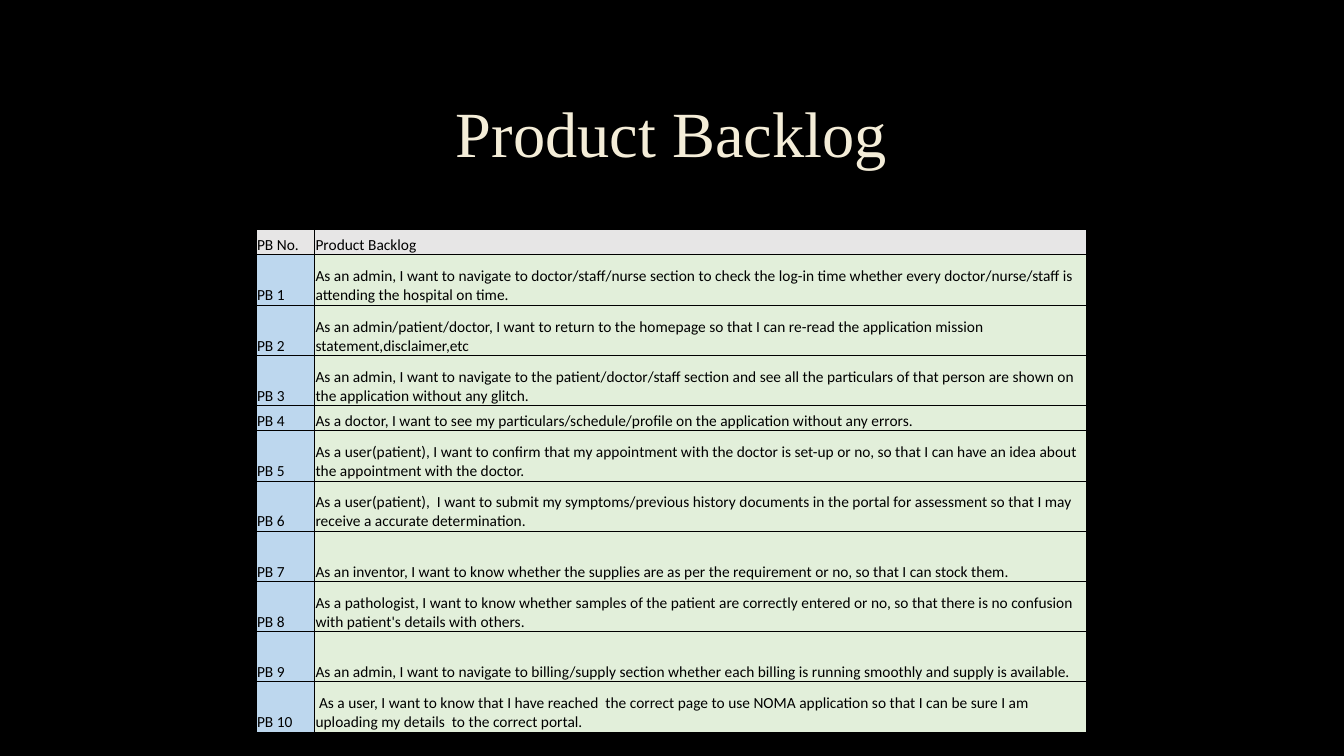
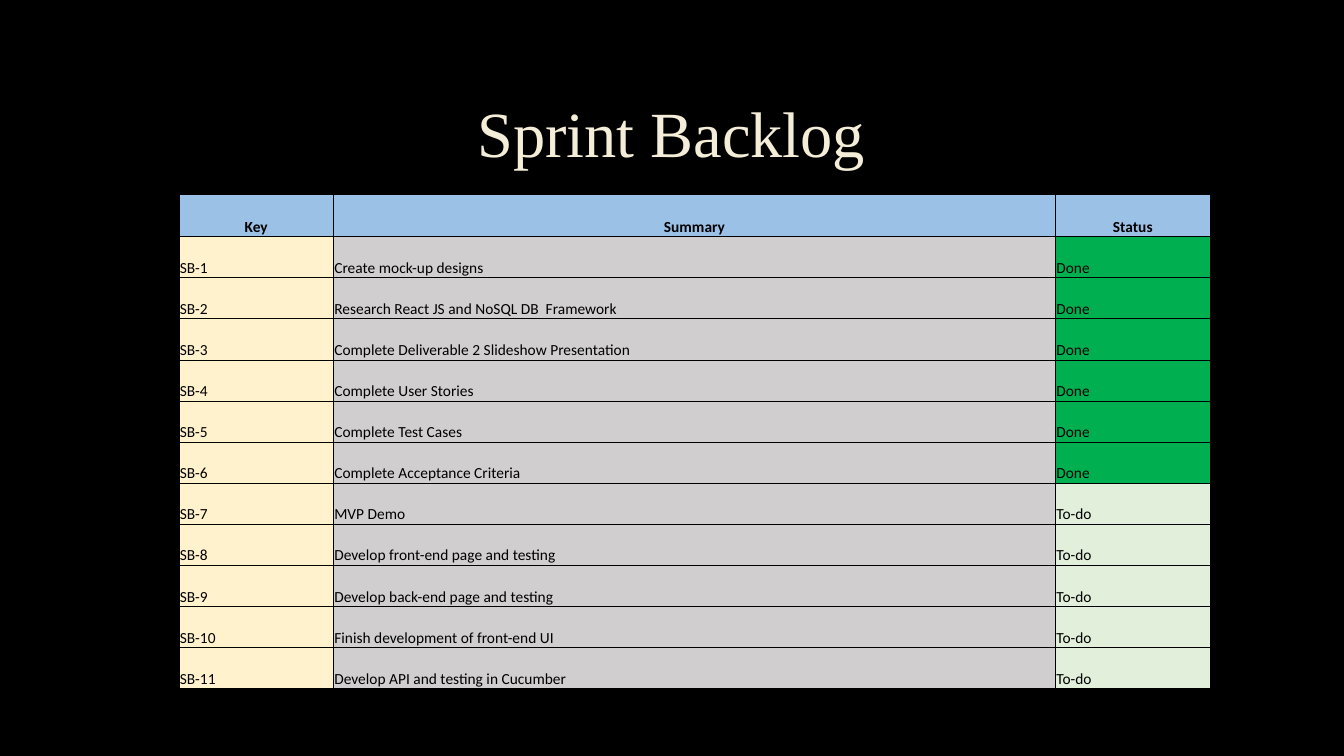
from lxml import etree
from pptx import Presentation
from pptx.dml.color import RGBColor
from pptx.enum import text as t
from pptx.oxml import ns
from pptx.util import Pt

BLACK = RGBColor(0x00, 0x00, 0x00)
CREAM = RGBColor(0xF4, 0xED, 0xD8)
GREY = RGBColor(0xE7, 0xE6, 0xE6)
LIGHT_BLUE = RGBColor(0xBD, 0xD7, 0xEE)
PALE_GREEN = RGBColor(0xE2, 0xEF, 0xDA)
BLUE = RGBColor(0x9B, 0xC2, 0xE6)
YELLOW = RGBColor(0xFF, 0xF2, 0xCC)
SILVER = RGBColor(0xD0, 0xCE, 0xCE)
GREEN = RGBColor(0x00, 0xB0, 0x50)

STATUS_FILLS = {"Done": GREEN, "To-do": PALE_GREEN}
LEFT, CENTER = t.PP_ALIGN.LEFT, t.PP_ALIGN.CENTER


def write(frame, words, font="Calibri", size=11, color=BLACK, bold=False,
          align=LEFT, spacing=1.0):
    frame.word_wrap = True
    paragraph = frame.paragraphs[0]
    paragraph.alignment = align
    paragraph.line_spacing = spacing
    run = paragraph.add_run()
    run.text = words
    run.font.name = font
    run.font.size = Pt(size)
    run.font.bold = bold
    run.font.color.rgb = color


def add_border(cell, side, width):
    line = etree.SubElement(cell._tc.get_or_add_tcPr(), ns.qn(f"a:ln{side}"), w=str(Pt(width)))
    fill = etree.SubElement(line, ns.qn("a:solidFill"))
    etree.SubElement(fill, ns.qn("a:srgbClr"), val=str(BLACK))


stories = [
    "As an admin, I want to navigate to doctor/staff/nurse section to check the log-in time whether every doctor/nurse/staff is attending the hospital on time.",
    "As an admin/patient/doctor, I want to return to the homepage so that I can re-read the application mission statement,disclaimer,etc",
    "As an admin, I want to navigate to the patient/doctor/staff section and see all the particulars of that person are shown on the application without any glitch.",
    "As a doctor, I want to see my particulars/schedule/profile on the application without any errors.",
    "As a user(patient), I want to confirm that my appointment with the doctor is set-up or no, so that I can have an idea about the appointment with the doctor.",
    "As a user(patient),  I want to submit my symptoms/previous history documents in the portal for assessment so that I may receive a accurate determination.",
    "As an inventor, I want to know whether the supplies are as per the requirement or no, so that I can stock them.",
    "As a pathologist, I want to know whether samples of the patient are correctly entered or no, so that there is no confusion with patient's details with others.",
    "As an admin, I want to navigate to billing/supply section whether each billing is running smoothly and supply is available.",
    " As a user, I want to know that I have reached  the correct page to use NOMA application so that I can be sure I am uploading my details  to the correct portal.",
]
tasks = [
    ("Create mock-up designs", "Done"),
    ("Research React JS and NoSQL DB  Framework", "Done"),
    ("Complete Deliverable 2 Slideshow Presentation", "Done"),
    ("Complete User Stories", "Done"),
    ("Complete Test Cases", "Done"),
    ("Complete Acceptance Criteria", "Done"),
    ("MVP Demo", "To-do"),
    ("Develop front-end page and testing", "To-do"),
    ("Develop back-end page and testing", "To-do"),
    ("Finish development of front-end UI", "To-do"),
    ("Develop API and testing in Cucumber", "To-do"),
]

backlogs = [
    {
        "title": "Product Backlog",
        "left": 183, "top": 164,
        "widths": [41.8, 551.4],
        "heights": [17.95] + [17.95 if number == 4 else 35.9
                              for number in range(1, len(stories) + 1)],
        "rows": [("PB No.", "Product Backlog")]
                + [(f"PB {number}", story) for number, story in enumerate(stories, 1)],
        "header": GREY, "fills": [LIGHT_BLUE, PALE_GREEN],
        "header_bold": False, "header_align": LEFT, "header_rule": 0.5,
    },
    {
        "title": "Sprint Backlog",
        "left": 127.8, "top": 139,
        "widths": [110.4, 515.8, 110.4],
        "heights": [30] + [29.36] * len(tasks),
        "rows": [("Key", "Summary", "Status")]
                + [(f"SB-{number}", *task) for number, task in enumerate(tasks, 1)],
        "header": BLUE, "fills": [YELLOW, SILVER, PALE_GREEN],
        "header_bold": True, "header_align": CENTER, "header_rule": 1,
    },
]

deck = Presentation()
deck.slide_width, deck.slide_height = Pt(960), Pt(540)

for backlog in backlogs:
    slide = deck.slides.add_slide(deck.slide_layouts[6])
    slide.background.fill.solid()
    slide.background.fill.fore_color.rgb = BLACK

    title = slide.shapes.add_textbox(Pt(72), Pt(48), Pt(815), Pt(99.4)).text_frame
    title.vertical_anchor = t.MSO_ANCHOR.MIDDLE
    write(title, backlog["title"], font="Times New Roman", size=46, color=CREAM,
          align=CENTER, spacing=0.9)

    rows, widths, heights = backlog["rows"], backlog["widths"], backlog["heights"]
    grid = slide.shapes.add_table(
        len(rows), len(widths), Pt(backlog["left"]), Pt(backlog["top"]),
        Pt(sum(widths)), Pt(sum(heights))).table
    grid.first_row = grid.horz_banding = False
    for column, width in zip(grid.columns, widths):
        column.width = Pt(width)

    for r, (entries, height) in enumerate(zip(rows, heights)):
        grid.rows[r].height = Pt(height)
        is_header = r == 0
        for c, entry in enumerate(entries):
            cell = grid.cell(r, c)
            cell.margin_left = cell.margin_right = cell.margin_top = Pt(0.6)
            cell.margin_bottom = Pt(0)
            cell.vertical_anchor = t.MSO_ANCHOR.BOTTOM
            rule = backlog["header_rule"]
            add_border(cell, "L", rule if is_header and c == 0 else 0.5)
            add_border(cell, "R", 0.5)
            add_border(cell, "T", rule if r <= 1 else 0.5)
            add_border(cell, "B", rule if is_header else 0.5)
            cell.fill.solid()
            cell.fill.fore_color.rgb = (backlog["header"] if is_header
                                        else STATUS_FILLS.get(entry, backlog["fills"][c]))
            write(cell.text_frame, entry, bold=is_header and backlog["header_bold"],
                  align=backlog["header_align"] if is_header else LEFT)

deck.save("out.pptx")
